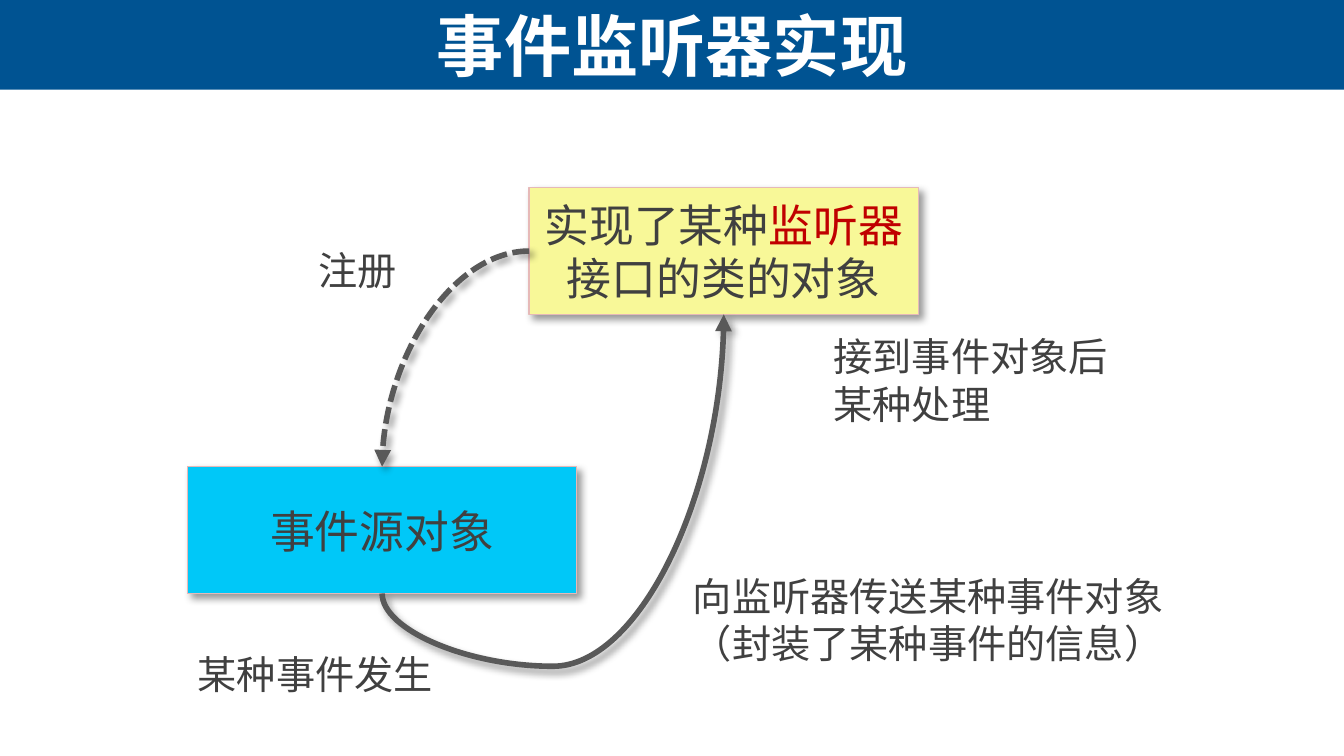
import pptx
import pptx.util
import pptx.dml.color
import pptx.enum.dml
import pptx.enum.shapes
import pptx.enum.text
import pptx.oxml.ns
from lxml import etree

Pt = pptx.util.Pt
RGBColor = pptx.dml.color.RGBColor
Anchor = pptx.enum.text.MSO_ANCHOR
Align = pptx.enum.text.PP_ALIGN
qn = pptx.oxml.ns.qn

NAVY = RGBColor(0x00, 0x53, 0x92)
WHITE = RGBColor(0xFF, 0xFF, 0xFF)
YELLOW = RGBColor(0xF8, 0xF8, 0x98)
CYAN = RGBColor(0x00, 0xC8, 0xF8)
PINK = RGBColor(0xE6, 0xB9, 0xB8)
DARK = RGBColor(0x40, 0x40, 0x40)
RED = RGBColor(0xC0, 0x00, 0x00)
GREY = RGBColor(0x59, 0x59, 0x59)
CJK = "Noto Sans CJK SC"

# Content: each text is a list of paragraphs, each paragraph a list of (words, colour)
HEADING = [[("事件监听器实现", WHITE)]]
LISTENER = [[("实现了某种", DARK), ("监听器", RED), ("接口的类的对象", DARK)]]
SOURCE = [[("事件源对象", DARK)]]
LABELS = [  # left, top, width, height, wrap, lines
    (165.6, 129.6, 53.3, 31, False, ["注册"]),
    (441.4, 175.7, 172, 56, True, ["接到事件对象后某种处理"]),
    (366, 304, 296, 56, True, ["向监听器传送某种事件对象", "（封装了某种事件的信息）"]),
    (100.8, 345.6, 149, 31, True, ["某种事件发生"]),
]

SLIDE_W, SLIDE_H, TITLE_H = 720, 405, 48
BOX_W, BOX_H = 208.5, 68
TOP, LEFT, BOTTOM = 0, 1, 2
DIP = 39  # depth of the event curve below the source box


def write(shape, paragraphs, size=21, font=CJK, bold=False, align=Align.LEFT,
          anchor=Anchor.TOP, wrap=True, grow=False):
    frame = shape.text_frame
    frame.word_wrap = wrap
    frame.vertical_anchor = anchor
    sizing = pptx.enum.text.MSO_AUTO_SIZE
    frame.auto_size = sizing.SHAPE_TO_FIT_TEXT if grow else sizing.NONE
    frame.margin_left = frame.margin_right = Pt(5.2)
    frame.margin_top = frame.margin_bottom = Pt(2.6)
    for index, runs in enumerate(paragraphs):
        paragraph = frame.paragraphs[0] if index == 0 else frame.add_paragraph()
        paragraph.alignment = align
        for words, color in runs:
            run = paragraph.add_run()
            run.text = words
            run.font.size, run.font.bold, run.font.name = Pt(size), bold, font
            run.font.color.rgb = color
            etree.SubElement(run.font._element, qn("a:ea"), typeface=CJK)


def add_shadow(properties):
    effects = etree.SubElement(properties, qn("a:effectLst"))
    shadow = etree.SubElement(effects, qn("a:outerShdw"), blurRad=str(Pt(4)),
                              dist=str(Pt(3)), dir="2700000", algn="tl", rotWithShape="0")
    black = etree.SubElement(shadow, qn("a:srgbClr"), val="000000")
    etree.SubElement(black, qn("a:alpha"), val="40000")


def add_box(slide, left, top, fill, paragraphs):
    box = slide.shapes.add_shape(pptx.enum.shapes.MSO_SHAPE.RECTANGLE,
                                 Pt(left), Pt(top), Pt(BOX_W), Pt(BOX_H))
    box.fill.solid()
    box.fill.fore_color.rgb = fill
    box.line.color.rgb = PINK
    box.line.width = Pt(0.75)
    add_shadow(box._element.spPr)
    write(box, paragraphs, size=24, align=Align.CENTER, anchor=Anchor.MIDDLE)
    return box


def add_curve(slide, start, start_side, end, end_side, preset, dashed=False):
    curve = slide.shapes.add_connector(pptx.enum.shapes.MSO_CONNECTOR.CURVE, 0, 0, 0, 0)
    curve.begin_connect(start, start_side)
    curve.end_connect(end, end_side)
    curve._element.spPr.find(qn("a:prstGeom")).set("prst", preset)
    curve.line.color.rgb = GREY
    curve.line.width = Pt(3)
    if dashed:
        curve.line.dash_style = pptx.enum.dml.MSO_LINE.SQUARE_DOT
    etree.SubElement(curve.line._get_or_add_ln(), qn("a:tailEnd"), type="triangle")
    add_shadow(curve._element.spPr)
    return curve


def turn_below(curve, dip):
    """Turn a rising curve a quarter so that it leaves downwards and dips first."""
    run, rise = curve.width, curve.height
    middle_x, middle_y = curve.left + run // 2, curve.top + rise // 2
    curve.left, curve.top = middle_x - rise // 2, middle_y - run // 2
    curve.width, curve.height = rise, run
    frame = curve._element.spPr.find(qn("a:xfrm"))
    for key, value in (("rot", "5400000"), ("flipH", "1"), ("flipV", "1")):
        frame.set(key, value)
    geometry = curve._element.spPr.find(qn("a:prstGeom"))
    guides = geometry.find(qn("a:avLst"))
    if guides is None:
        guides = etree.SubElement(geometry, qn("a:avLst"))
    share = round(-100000 * Pt(dip) / rise)
    etree.SubElement(guides, qn("a:gd"), name="adj1", fmla=f"val {share}")


def main():
    deck = pptx.Presentation()
    deck.slide_width, deck.slide_height = Pt(SLIDE_W), Pt(SLIDE_H)
    slide = deck.slides.add_slide(deck.slide_layouts[5])

    # Title band
    title = slide.shapes.title
    title.left, title.top, title.width, title.height = 0, 0, Pt(SLIDE_W), Pt(TITLE_H)
    title.fill.solid()
    title.fill.fore_color.rgb = NAVY
    write(title, HEADING, size=36, font="Arial", bold=True,
          align=Align.CENTER, anchor=Anchor.MIDDLE)

    # Objects
    listener = add_box(slide, 283.5, 100.5, YELLOW, LISTENER)
    source = add_box(slide, 100.5, 250, CYAN, SOURCE)

    # Registration and event delivery
    add_curve(slide, listener, LEFT, source, TOP, "curvedConnector2", dashed=True)
    delivery = add_curve(slide, source, BOTTOM, listener, BOTTOM, "curvedConnector3")
    turn_below(delivery, DIP)

    # Labels
    for left, top, width, height, wrap, lines in LABELS:
        label = slide.shapes.add_textbox(Pt(left), Pt(top), Pt(width), Pt(height))
        write(label, [[(line, DARK)] for line in lines], wrap=wrap, grow=True)

    deck.save("out.pptx")


if __name__ == "__main__":
    main()
